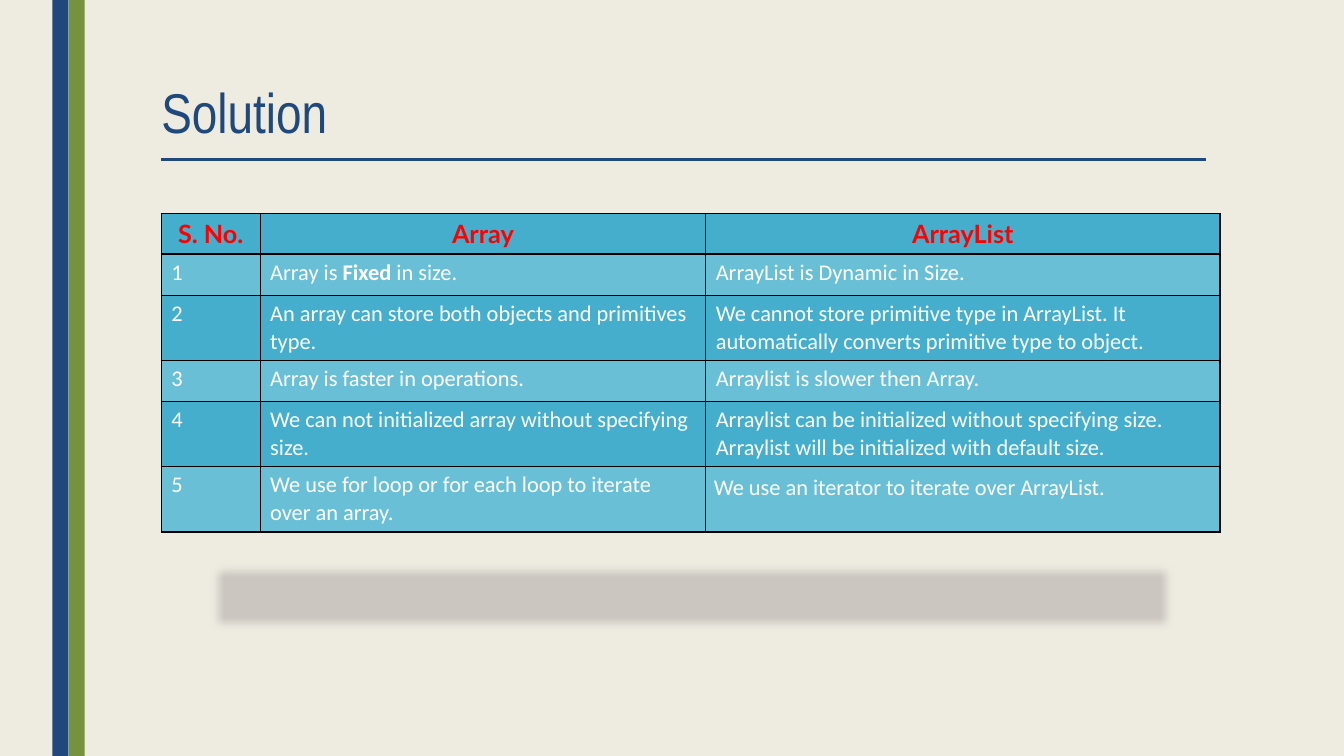
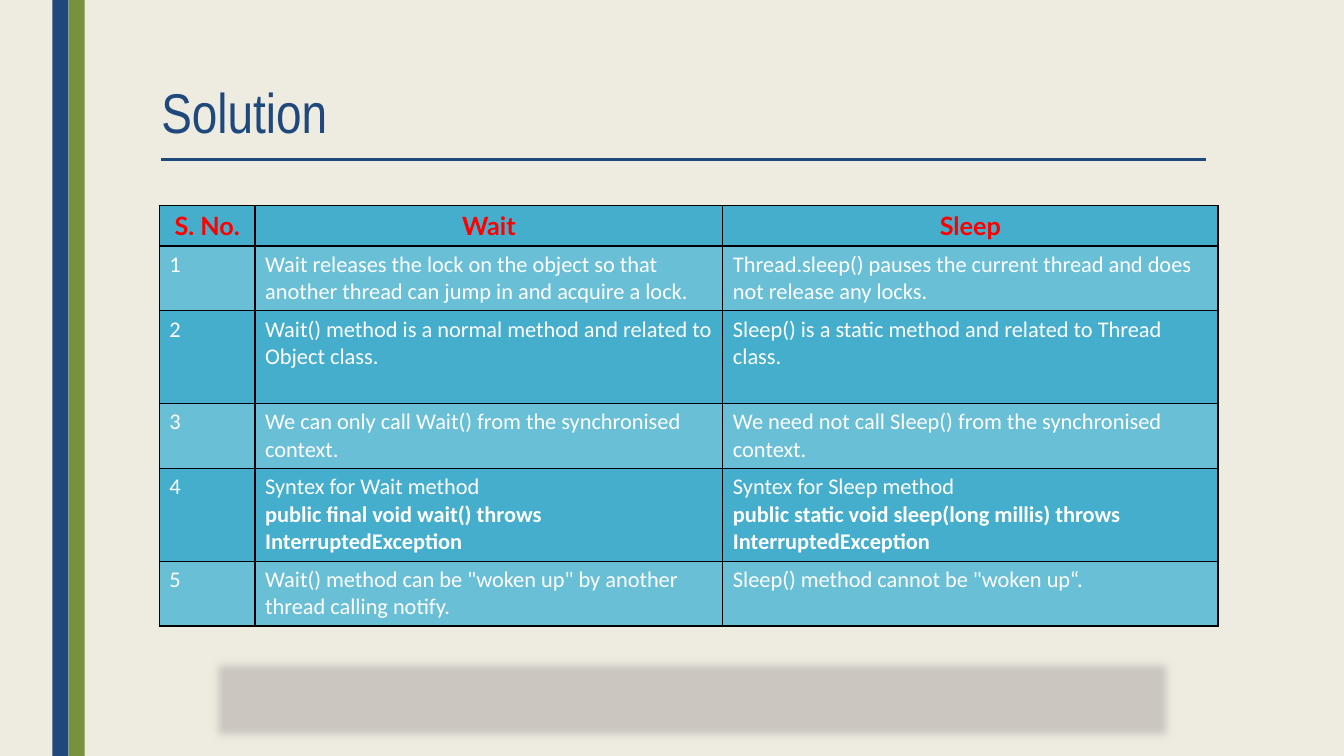
from pptx import Presentation
from pptx import util as u
from pptx.dml import color
from pptx.enum import shapes, text
from pptx.oxml import parse_xml
from pptx.oxml.ns import nsdecls

COLORS = {
    "paper": "EEECE1", "navy": "1F497D", "green": "76923C",
    "row": "44AECC", "row_light": "69BFD6", "header": "FF0000",
    "white": "FFFFFF", "border": "000000", "shade": "CBC7C0",
}


def rgb(name):
    return color.RGBColor.from_string(COLORS[name])


class Deck:
    """Hold the shared style and the current slide."""

    def __init__(self):
        self.prs = Presentation()
        self.prs.slide_width = u.Inches(13.33)
        self.prs.slide_height = u.Inches(7.5)
        fill = self.prs.slide_master.background.fill
        fill.solid()
        fill.fore_color.rgb = rgb("paper")
        self.s = None

    def slide(self, title):
        self.s = self.prs.slides.add_slide(self.prs.slide_layouts[5])
        self.rect(0.68, 0, 0.16, 7.5, "green")
        self.rect(0.52, 0, 0.16, 7.5, "navy")
        self.line(1.6, 1.58, 11.96, 1.58)
        self.title(title)

    def rect(self, x, y, w, h, fill):
        sp = self.s.shapes.add_shape(
            shapes.MSO_SHAPE.RECTANGLE, *map(u.Inches, (x, y, w, h)))
        sp.shadow.inherit = False
        sp.fill.solid()
        sp.fill.fore_color.rgb = rgb(fill)
        sp.line.fill.background()
        return sp

    def soft_rect(self, x, y, w, h, radius):
        sp = self.rect(x, y, w, h, "shade")
        effects = sp._element.spPr.find(
            "{http://schemas.openxmlformats.org/drawingml/2006/main}effectLst")
        effects.append(parse_xml(
            f'<a:softEdge {nsdecls("a")} rad="{u.Inches(radius)}"/>'))

    def line(self, x1, y1, x2, y2):
        sp = self.s.shapes.add_connector(
            shapes.MSO_CONNECTOR.STRAIGHT, *map(u.Inches, (x1, y1, x2, y2)))
        sp.line.color.rgb = rgb("navy")
        sp.line.width = u.Pt(2.25)
        sp._element.spPr.append(parse_xml(f'<a:effectLst {nsdecls("a")}/>'))

    def title(self, words):
        sp = self.s.shapes.title
        sp.left, sp.top, sp.width, sp.height = map(
            u.Inches, (1.5, 0.75, 10.5, 0.79))
        tf = sp.text_frame
        tf.vertical_anchor = text.MSO_ANCHOR.MIDDLE
        p = tf.paragraphs[0]
        p.alignment = text.PP_ALIGN.LEFT
        p.line_spacing = 0.89
        self.run(p, words, "Arial Narrow", 40, "navy", False)

    def run(self, p, words, font, size, ink, bold):
        r = p.add_run()
        r.text = words
        r.font.name, r.font.size, r.font.bold = font, u.Pt(size), bold
        r.font.color.rgb = rgb(ink)

    def cell(self, cell, words, is_header, fill):
        """Fill one cell; ** switches bold and a newline starts a paragraph."""
        tcPr = cell._tc.get_or_add_tcPr()
        for side in "LRTB":
            tcPr.append(parse_xml(
                f'<a:ln{side} {nsdecls("a")} w="{u.Pt(1)}"><a:solidFill>'
                f'<a:srgbClr val="{COLORS["border"]}"/></a:solidFill></a:ln{side}>'))
        cell.fill.solid()
        cell.fill.fore_color.rgb = rgb(fill)
        tf = cell.text_frame
        for i, part in enumerate(words.split("\n")):
            p = tf.add_paragraph() if i else tf.paragraphs[0]
            if is_header:
                p.alignment = text.PP_ALIGN.CENTER
                self.run(p, part, "Lato", 18, "header", True)
                continue
            for j, piece in enumerate(part.split("**")):
                if piece:
                    self.run(p, piece, "Calibri", 16, "white", j % 2 == 1)

    def table(self, x, y, widths, heights, heads, rows):
        data = [("S. No.", *heads)]
        data += [(str(n), *row) for n, row in enumerate(rows, 1)]
        frame = self.s.shapes.add_table(
            len(data), len(widths),
            *map(u.Inches, (x, y, sum(widths), sum(heights))))
        table = frame.table
        for column, width in zip(table.columns, widths):
            column.width = u.Inches(width)
        for i, (height, row) in enumerate(zip(heights, data)):
            table.rows[i].height = u.Inches(height)
            fill = "row_light" if i % 2 else "row"
            for j, words in enumerate(row):
                self.cell(table.cell(i, j), words, i == 0, fill)
        return table


deck = Deck()

deck.slide("Solution")
arrays = deck.table(
    1.6, 2.12, (0.98, 4.42, 5.1), (0.4, 0.41, 0.64, 0.41, 0.64, 0.65),
    ("Array", "ArrayList"),
    [
        ("Array is\u00a0**Fixed**\u00a0in size.", "ArrayList is Dynamic in Size."),
        ("An array can store both objects and primitives type.",
         "We cannot store primitive type in ArrayList. It automatically "
         "converts primitive type to object."),
        ("Array is faster in operations.", "Arraylist is slower then Array."),
        ("We can not initialized array without specifying size.",
         "Arraylist can be initialized without specifying size. "
         "Arraylist will be initialized with default size."),
        ("We use for loop or for each loop to iterate over an array.",
         "We use an\u00a0iterator\u00a0to iterate over ArrayList."),
    ])
iterator = arrays.cell(5, 2)
iterator.margin_left = iterator.margin_right = u.Inches(0.08)
iterator.margin_top = iterator.margin_bottom = u.Inches(0.08)
iterator.text_frame.paragraphs[0].alignment = text.PP_ALIGN.JUSTIFY
deck.soft_rect(2.05, 5.55, 9.63, 0.75, 0.1)

deck.slide("Solution")
deck.table(
    1.58, 2.04, (0.95, 4.64, 4.91), (0.4, 0.64, 0.92, 0.64, 0.92, 0.64),
    ("Wait", "Sleep"),
    [
        ("Wait releases the lock on the object so that another thread can "
         "jump in and acquire a lock.",
         "Thread.sleep() pauses the current thread and does not release any locks."),
        ("Wait() method is a normal method and related to Object class.",
         "Sleep() is a static method and related to Thread class."),
        ("We can only call Wait() from the synchronised context.",
         "We need not call Sleep() from the synchronised context."),
        ("Syntex for Wait method\n"
         "**public final void wait() throws InterruptedException**",
         "Syntex for Sleep method\n"
         "**public static void sleep(long millis) throws InterruptedException**"),
        ('Wait() method can be "woken up" by another thread calling notify.',
         'Sleep() method cannot be "woken up\u201c.'),
    ])
deck.soft_rect(2.05, 6.48, 9.63, 0.92, 0.1)

deck.prs.save("out.pptx")
